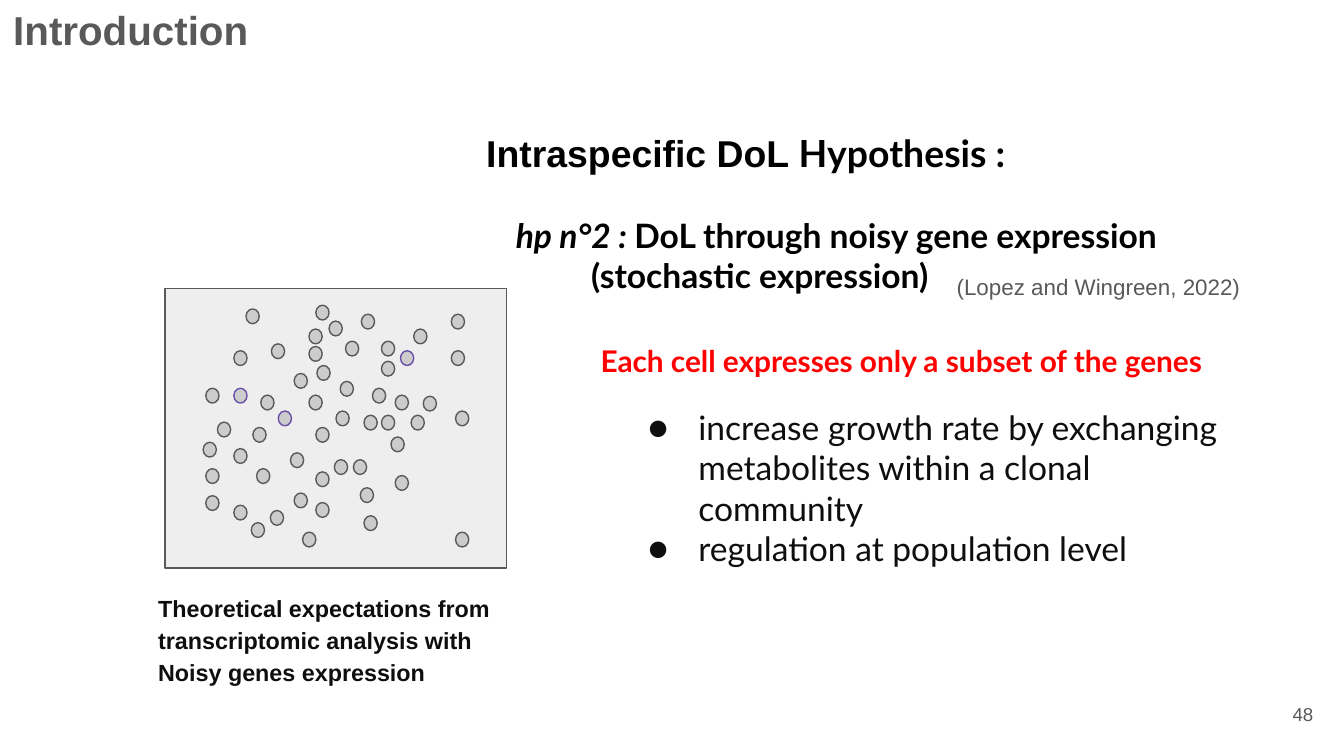
from dataclasses import dataclass

from lxml import etree
from pptx import Presentation
from pptx.dml.color import RGBColor
from pptx.enum.shapes import MSO_SHAPE
from pptx.enum.text import MSO_ANCHOR, MSO_AUTO_SIZE, PP_ALIGN
from pptx.oxml.ns import qn
from pptx.util import Cm, Pt

RECT, OVAL = MSO_SHAPE.RECTANGLE, MSO_SHAPE.OVAL
LEFT, RIGHT = PP_ALIGN.LEFT, PP_ALIGN.RIGHT
TOP, MIDDLE = MSO_ANCHOR.TOP, MSO_ANCHOR.MIDDLE
FIXED, GROW = MSO_AUTO_SIZE.NONE, MSO_AUTO_SIZE.SHAPE_TO_FIT_TEXT
TITLE_ONLY = 5


@dataclass(frozen=True)
class Theme:
    sans: str = "Arial"
    body: str = "Lato"
    grey: str = "595959"
    black: str = "000000"
    ink: str = "0E0E0E"
    red: str = "FF0000"
    purple: str = "674EA7"
    dish: str = "EEEEEE"
    cell: str = "CCCCCC"
    title: float = 21.6
    heading: float = 20
    text: float = 18
    claim: float = 16
    caption: float = 12.5
    citation: float = 12
    number: float = 10
    inset: float = 0.25
    outline: float = 0.75


T = Theme()


@dataclass(frozen=True)
class Box:
    left: float
    top: float
    width: float
    height: float

    def lengths(self) -> list[Cm]:
        return [Cm(v) for v in (self.left, self.top, self.width, self.height)]


@dataclass(frozen=True)
class Run:
    text: str
    size: float
    font: str
    color: str
    bold: bool = False
    italic: bool = False


@dataclass(frozen=True)
class Para:
    runs: tuple[Run, ...]
    margin: float = 0
    hanging: float = 0
    spacing: float = 1.0
    bullet: str = ""
    align: PP_ALIGN = LEFT


def format_para(p, para: Para) -> None:
    p.alignment = para.align
    p.line_spacing = para.spacing
    p_pr = p._p.get_or_add_pPr()
    p_pr.set("marL", str(Cm(para.margin)))
    p_pr.set("indent", str(-Cm(para.hanging)))
    if para.bullet:
        color = etree.SubElement(p_pr, qn("a:buClr"))
        etree.SubElement(color, qn("a:srgbClr"), val=T.ink)
        etree.SubElement(p_pr, qn("a:buFont"), typeface=T.body)
        etree.SubElement(p_pr, qn("a:buChar"), char=para.bullet)
    for run in para.runs:
        r = p.add_run()
        r.text = run.text
        r.font.size = Pt(run.size)
        r.font.name = run.font
        r.font.bold = run.bold
        r.font.italic = run.italic
        r.font.color.rgb = RGBColor.from_string(run.color)


def fill_text(sp, paras: list[Para], anchor=TOP, fit=FIXED) -> None:
    tf = sp.text_frame
    tf.word_wrap = True
    tf.auto_size = fit
    tf.vertical_anchor = anchor
    tf.margin_left = tf.margin_right = Cm(T.inset)
    tf.margin_top = tf.margin_bottom = Cm(T.inset)
    for i, para in enumerate(paras):
        format_para(tf.add_paragraph() if i else tf.paragraphs[0], para)


def add_text(s, box: Box, paras: list[Para], anchor=TOP, fit=FIXED) -> None:
    fill_text(s.shapes.add_textbox(*box.lengths()), paras, anchor, fit)


def add_outlined(s, kind: MSO_SHAPE, box: Box, fill: str, line: str) -> None:
    sp = s.shapes.add_shape(kind, *box.lengths())
    sp.shadow.inherit = False
    sp.fill.solid()
    sp.fill.fore_color.rgb = RGBColor.from_string(fill)
    sp.line.color.rgb = RGBColor.from_string(line)
    sp.line.width = Pt(T.outline)


# Left and top of every cell, in centimetres
GREY_CELLS = [
    (7.21, 6.83), (7.21, 6.45), (6.53, 6.45), (4.42, 8.48), (8.61, 10.06),
    (6.22, 6.07), (6.43, 7.21), (5.99, 6.91), (7.04, 7.34), (7.82, 6.22),
    (3.84, 8.36), (6.81, 9.22), (4.78, 8.08), (5.97, 8.08), (6.88, 7.85),
    (5.56, 9.32), (5.97, 8.92), (6.32, 8.69), (4.85, 8.86), (8.0, 7.49),
    (4.11, 7.98), (7.47, 7.47), (5.84, 6.22), (4.93, 7.47), (4.65, 5.84),
    (4.42, 6.63), (5.84, 7.47), (5.84, 6.55), (5.97, 9.5), (4.42, 9.55),
    (7.47, 8.99), (7.77, 7.85), (5.56, 7.06), (6.88, 9.75), (3.89, 8.86),
    (6.35, 7.77), (4.75, 9.88), (5.72, 10.06), (3.89, 9.37), (5.49, 8.56),
    (5.97, 5.77), (7.21, 7.85), (3.89, 7.34), (6.68, 8.69), (7.39, 8.26),
    (8.53, 6.63), (6.83, 5.94), (5.11, 9.65), (8.61, 7.77), (8.53, 5.94),
    (5.13, 6.5),
]
PURPLE_CELLS = [(7.57, 6.63), (5.26, 7.77), (4.42, 7.34)]
CELL_WIDTH, CELL_HEIGHT = 0.25, 0.28


def add_population(s) -> None:
    add_outlined(s, RECT, Box(3.12, 5.46, 6.45, 5.28), T.dish, T.grey)
    for cells, line in ((GREY_CELLS, T.grey), (PURPLE_CELLS, T.purple)):
        for left, top in cells:
            box = Box(left, top, CELL_WIDTH, CELL_HEIGHT)
            add_outlined(s, OVAL, box, T.cell, line)


def add_title(s) -> None:
    sp = s.shapes.title
    sp.left, sp.top, sp.width, sp.height = Box(0, -0.15, 5.87, 1.27).lengths()
    run = Run("Introduction", T.title, T.sans, T.grey, bold=True)
    fill_text(sp, [Para((run,))])


def add_hypothesis(s) -> None:
    add_text(s, Box(8.94, 2.08, 12.7, 1.6), [Para((
        Run("Intraspecific DoL", T.heading, T.sans, T.black, bold=True),
        Run(" Hypothesis :", T.heading, T.body, T.black, bold=True),
    ), spacing=1.15)])
    add_text(s, Box(9.5, 3.81, 14, 1.96), [
        Para((
            Run("hp n°2 : ", T.text, T.body, T.black, bold=True, italic=True),
            Run("DoL through noisy gene expression", T.text, T.body, T.black,
                bold=True),
        )),
        Para((Run(" (stochastic expression)", T.text, T.body, T.black,
                  bold=True),), margin=1.27),
    ])
    citation = Run("(Lopez and Wingreen, 2022)", T.citation, T.sans, T.grey)
    add_text(s, Box(17.83, 4.83, 5.87, 1.09), [Para((citation,), spacing=1.15)])
    claim = Run("Each cell expresses only a subset of the genes",
                T.claim, T.body, T.red, bold=True)
    add_text(s, Box(10.72, 6.12, 14, 1.09),
             [Para((claim,), margin=0.38, spacing=1.15)])


def add_benefits(s) -> None:
    benefits = (
        "increase growth rate by exchanging metabolites within a clonal community",
        "regulation at population level",
    )
    add_text(s, Box(11.68, 7.44, 12.19, 3.58), [
        Para((Run(text, T.text, T.body, T.ink),),
             margin=1.27, hanging=0.95, bullet="●")
        for text in benefits
    ], fit=GROW)


def add_caption(s) -> None:
    lines = ("Theoretical expectations from transcriptomic analysis with",
             "Noisy genes expression")
    add_text(s, Box(2.36, 10.9, 7.47, 2.29), [
        Para((Run(text, T.caption, T.sans, T.ink, bold=True),),
             margin=0.38, spacing=1.15)
        for text in lines
    ], fit=GROW)


def main() -> None:
    prs = Presentation()
    prs.slide_width, prs.slide_height = Cm(25.4), Cm(14.29)
    s = prs.slides.add_slide(prs.slide_layouts[TITLE_ONLY])
    add_title(s)
    add_hypothesis(s)
    add_population(s)
    add_caption(s)
    add_benefits(s)
    number = Run("48", T.number, T.sans, T.grey)
    add_text(s, Box(23.55, 12.95, 1.52, 1.09),
             [Para((number,), align=RIGHT)], anchor=MIDDLE)
    prs.save("out.pptx")


if __name__ == "__main__":
    main()
